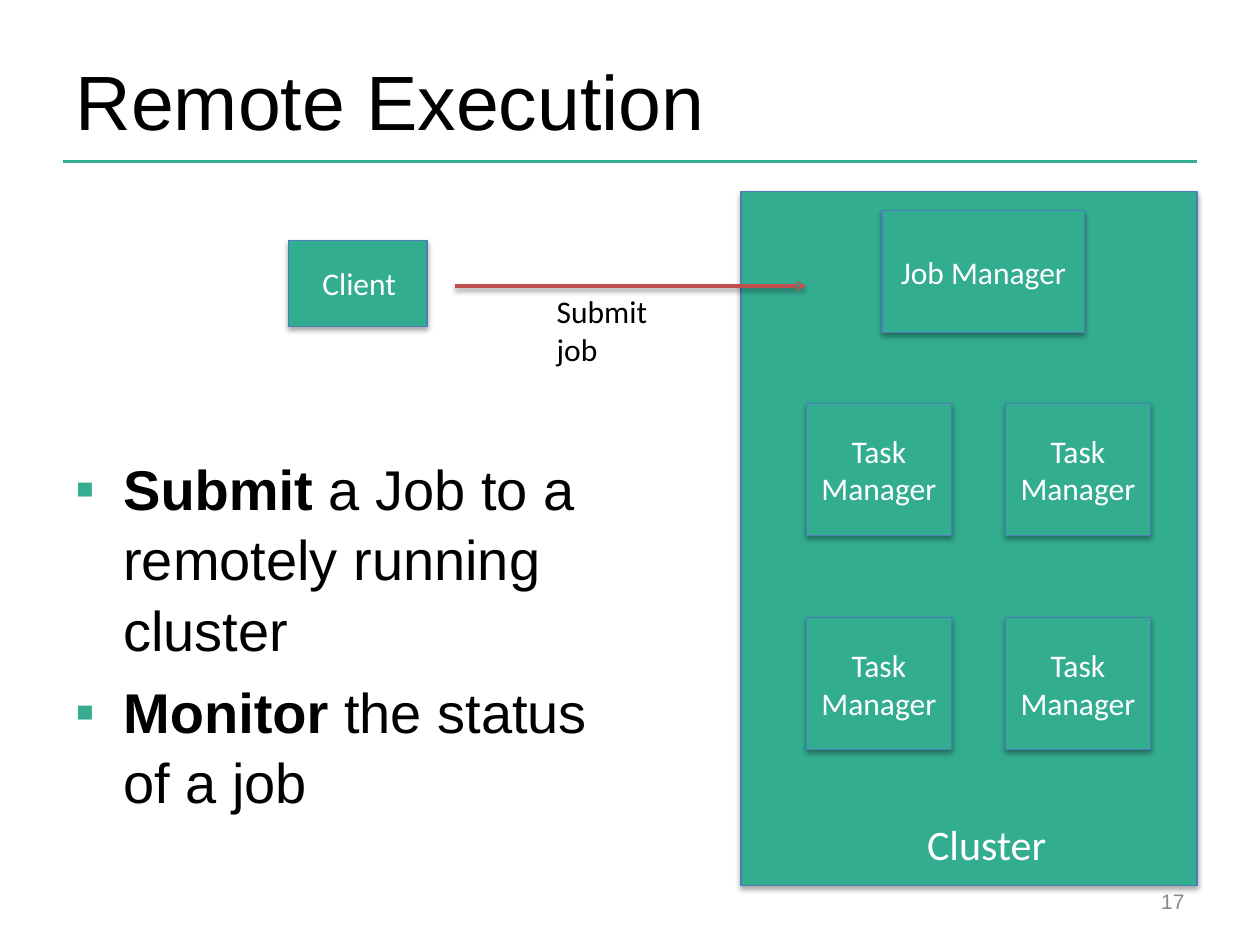
from dataclasses import dataclass

from lxml import etree
from pptx import Presentation
from pptx.dml.color import RGBColor
from pptx.enum.shapes import MSO_CONNECTOR, MSO_SHAPE
from pptx.enum.text import MSO_ANCHOR as Anchor, PP_ALIGN as Align
from pptx.oxml.ns import qn
from pptx.util import Inches, Pt

COLORS = {
    "rule": "34AD91", "box": "33AD90", "border": "4A7DBA", "arrow": "C0504D",
    "black": "000000", "white": "FFFFFF", "gray": "888888",
}


@dataclass
class Block:
    left: float
    top: float
    width: float
    height: float
    text: str = ""


@dataclass
class Label(Block):
    size: int = 18
    color: str = "white"
    font: str = "Calibri"
    align: Align = Align.LEFT
    anchor: Anchor = Anchor.TOP


def rgb(name: str) -> RGBColor:
    return RGBColor.from_string(COLORS[name])


def place(block: Block) -> list:
    return [Inches(n) for n in (block.left, block.top, block.width, block.height)]


def style(para, size: int, color: str, font: str, align=Align.LEFT) -> None:
    para.alignment = align
    para.font.size = Pt(size)
    para.font.name = font
    para.font.color.rgb = rgb(color)


def set_effects(shape, opacity: int = 0) -> None:
    """Give the shape a soft shadow below it, or none at zero opacity."""
    properties = shape._element.spPr
    for old in properties.findall(qn("a:effectLst")):
        properties.remove(old)
    effects = etree.SubElement(properties, qn("a:effectLst"))
    if opacity:
        shadow = etree.SubElement(effects, qn("a:outerShdw"), blurRad=str(Pt(3.1)),
                                  dist=str(Pt(1.8)), dir="5400000", rotWithShape="0")
        tint = etree.SubElement(shadow, qn("a:srgbClr"), val=COLORS["black"])
        etree.SubElement(tint, qn("a:alpha"), val=str(opacity * 1000))


def draw_box(shapes, block: Block) -> None:
    box = shapes.add_shape(MSO_SHAPE.RECTANGLE, *place(block))
    box.fill.solid()
    box.fill.fore_color.rgb = rgb("box")
    box.line.color.rgb = rgb("border")
    box.line.width = Pt(0.75)
    set_effects(box, 35)
    if block.text:
        frame = box.text_frame
        frame.word_wrap = True
        frame.vertical_anchor = Anchor.MIDDLE
        frame.text = block.text
        style(frame.paragraphs[0], 18, "white", "Calibri", Align.CENTER)


def draw_label(shapes, label: Label) -> None:
    frame = shapes.add_textbox(*place(label)).text_frame
    frame.word_wrap = True
    frame.vertical_anchor = label.anchor
    frame.text = label.text
    style(frame.paragraphs[0], label.size, label.color, label.font, label.align)


def draw_line(shapes, left: float, right: float, y: float, color: str):
    line = shapes.add_connector(MSO_CONNECTOR.STRAIGHT, Inches(left), Inches(y),
                                Inches(right), Inches(y))
    line.line.color.rgb = rgb(color)
    line.line.width = Pt(2)
    set_effects(line)
    return line


def add_bullet(para, lead: str, rest: str) -> None:
    settings = para._p.get_or_add_pPr()
    settings.set("marL", str(Inches(0.38)))
    settings.set("indent", str(Inches(-0.38)))
    para.line_spacing = 1.05
    tint = etree.SubElement(settings, qn("a:buClr"))
    etree.SubElement(tint, qn("a:srgbClr"), val=COLORS["rule"])
    etree.SubElement(settings, qn("a:buFont"), typeface="Arial")
    etree.SubElement(settings, qn("a:buChar"), char="▪")
    style(para, 32, "black", "Arial")
    for text, bold in ((lead, True), (rest, False)):
        span = para.add_run()
        span.text = text
        span.font.bold = bold


def main() -> None:
    deck = Presentation()
    deck.slide_width, deck.slide_height = Inches(10), Inches(7.5)
    page = deck.slides.add_slide(deck.slide_layouts[5])
    shapes = page.shapes

    # Title with its rule
    draw_line(shapes, 0.5, 9.5, 1.28, "rule")
    title = shapes.title
    title.left, title.top, title.width, title.height = place(Block(0.5, 0.3, 8.17, 0.98))
    title.text_frame.text = "Remote Execution"
    title.text_frame.vertical_anchor = Anchor.MIDDLE
    style(title.text_frame.paragraphs[0], 44, "black", "Arial")

    # Bullets
    frame = shapes.add_textbox(*place(Block(0.5, 3.53, 4.53, 3.17))).text_frame
    frame.word_wrap = True
    add_bullet(frame.paragraphs[0], "Submit", " a Job to a remotely running cluster")
    second = frame.add_paragraph()
    second.space_before = Pt(6.4)
    add_bullet(second, "Monitor", " the status of a job")

    # Page number
    draw_label(shapes, Label(7.17, 6.95, 2.33, 0.4, "17", 12, "gray", "Arial",
                             Align.RIGHT, Anchor.MIDDLE))

    # Client
    client = shapes.add_group_shape().shapes
    draw_box(client, Block(2.29, 1.91, 1.1, 0.68))
    draw_label(client, Label(2.46, 2.05, 0.8, 0.4, "Client"))

    # Cluster with its managers
    cluster = shapes.add_group_shape().shapes
    draw_box(cluster, Block(5.88, 1.52, 3.62, 5.51))
    draw_box(cluster, Block(7, 1.67, 1.61, 0.97, "Job Manager"))
    draw_label(cluster, Label(7.26, 6.45, 1.16, 0.5, "Cluster", 24))
    for top in (3.2, 4.9):
        for left in (6.4, 7.98):
            draw_box(cluster, Block(left, top, 1.15, 1.05, "Task Manager"))

    # Job submission
    submission = shapes.add_group_shape().shapes
    arrow = draw_line(submission, 3.61, 6.4, 2.27, "arrow")
    set_effects(arrow, 38)
    etree.SubElement(arrow.line._get_or_add_ln(), qn("a:tailEnd"), type="stealth")
    draw_label(submission, Label(4.32, 2.27, 1.1, 0.4, "Submit job", color="black"))

    deck.save("out.pptx")


if __name__ == "__main__":
    main()
